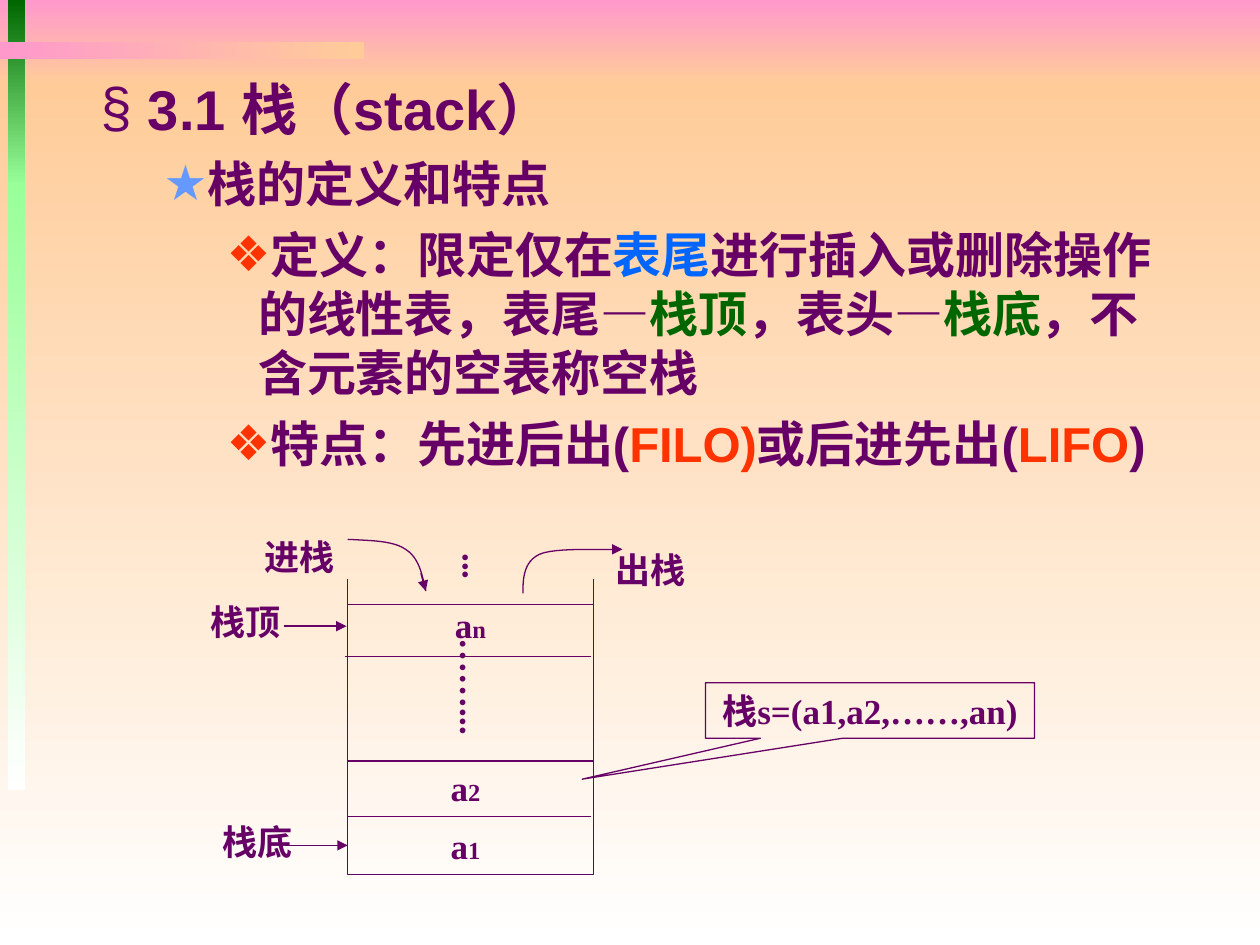
from lxml.etree import SubElement
from pptx import Presentation
from pptx.dml.color import RGBColor
from pptx.enum.shapes import MSO_CONNECTOR, MSO_SHAPE
from pptx.enum.text import MSO_ANCHOR, PP_ALIGN
from pptx.oxml.ns import qn
from pptx.util import Pt

PLUM, PINK, PEACH, WHITE = "660066", "FF99CC", "FFCC99", "FFFFFF"
DARK_GREEN, LIGHT_GREEN = "006600", "99FF99"
RED, BLUE, STAR_BLUE = "FF3300", "0066FF", "6699FF"
LINE_WIDTH = 0.75


def color(hex_code):
    return RGBColor.from_string(hex_code)


def style_span(span, size, font_name, hex_code=PLUM):
    span.font.size = Pt(size)
    span.font.name = font_name
    span.font.bold = True
    span.font.color.rgb = color(hex_code)


def add_gradient(page, left, top, width, height, start, end, angle=270):
    bar = page.shapes.add_shape(MSO_SHAPE.RECTANGLE, Pt(left), Pt(top), Pt(width), Pt(height))
    bar.shadow.inherit = False
    bar.line.fill.background()
    bar.fill.gradient()
    bar.fill.gradient_angle = angle
    for stop, hex_code in zip(bar.fill.gradient_stops, (start, end)):
        stop.color.rgb = color(hex_code)


def outline(shape):
    shape.shadow.inherit = False
    shape.fill.background()
    shape.line.color.rgb = color(PLUM)
    shape.line.width = Pt(LINE_WIDTH)


def add_line(page, x1, y1, x2, y2, arrow=False):
    line = page.shapes.add_connector(MSO_CONNECTOR.STRAIGHT, Pt(x1), Pt(y1), Pt(x2), Pt(y2))
    line.line.color.rgb = color(PLUM)
    line.line.width = Pt(LINE_WIDTH)
    if arrow:
        SubElement(line.line._get_or_add_ln(), qn("a:tailEnd"), type="triangle")
    SubElement(line._element.spPr, qn("a:effectLst"))


def bezier(start, control1, control2, end, steps=12):
    """Points along a cubic curve, without its start."""
    for step in range(1, steps + 1):
        t = step / steps
        weights = ((1 - t) ** 3, 3 * t * (1 - t) ** 2, 3 * t * t * (1 - t), t ** 3)
        yield tuple(sum(weight * point[axis] for weight, point
                        in zip(weights, (start, control1, control2, end)))
                    for axis in (0, 1))


def add_curve(page, left, top, knots):
    """Draw joined cubic curves; knots are a start, then two controls and an end each."""
    knots = [(left + x, top + y) for x, y in knots]
    points = [point for first in range(0, len(knots) - 1, 3)
              for point in bezier(*knots[first:first + 4])]
    builder = page.shapes.build_freeform(Pt(knots[0][0]), Pt(knots[0][1]))
    builder.add_line_segments([(Pt(x), Pt(y)) for x, y in points], close=False)
    outline(builder.convert_to_shape())


def write_label(shape, parts):
    """Fill a shape with one centred line of (text, size) parts."""
    frame = shape.text_frame
    frame.word_wrap = False
    frame.vertical_anchor = MSO_ANCHOR.MIDDLE
    para = frame.paragraphs[0]
    para.alignment = PP_ALIGN.CENTER
    for text, size in parts:
        span = para.add_run()
        span.text = text
        style_span(span, size, "Times New Roman")


def add_label(page, left, top, width, height, *parts, vertical=False):
    box = page.shapes.add_textbox(Pt(left), Pt(top), Pt(width), Pt(height))
    write_label(box, parts)
    frame = box.text_frame
    frame.margin_left = frame.margin_right = 0
    frame.margin_top = frame.margin_bottom = 0
    if vertical:
        frame._txBody.bodyPr.set("vert", "eaVert")


def add_backdrop(page, width, height):
    band = 48
    add_gradient(page, 0, 0, width, band, PINK, PEACH)
    add_gradient(page, 0, band, width, height - band, PEACH, WHITE)
    add_gradient(page, 4.3, 0, 10, 106, DARK_GREEN, LIGHT_GREEN)
    add_gradient(page, 4.3, 105, 10, 346.5, LIGHT_GREEN, WHITE)
    add_gradient(page, 0, 24, 208, 10, PEACH, PINK, angle=180)


def set_bullet(para, char, hex_code, margin, hanging):
    properties = para._p.get_or_add_pPr()
    properties.set("marL", str(Pt(margin)))
    properties.set("indent", str(-Pt(hanging)))
    bullet_color = SubElement(properties, qn("a:buClr"))
    SubElement(bullet_color, qn("a:srgbClr"), val=hex_code)
    SubElement(properties, qn("a:buFont"), typeface="Arial")
    SubElement(properties, qn("a:buChar"), char=char)


def add_outline_text(page, left, top, width, height):
    levels = [("§", PLUM, 27, 27, 32), ("★", STAR_BLUE, 58.5, 22.5, 28),
              ("❖", RED, 90, 18, 28)]
    items = [
        (0, [("3.1 栈（stack）", PLUM)]),
        (1, [("栈的定义和特点", PLUM)]),
        (2, [("定义：限定仅在", PLUM), ("表尾", BLUE),
             ("进行插入或删除操作的线性表，表尾—", PLUM), ("栈顶", DARK_GREEN),
             ("，表头—", PLUM), ("栈底", DARK_GREEN), ("，不含元素的空表称空栈", PLUM)]),
        (2, [("特点：先进后出(", PLUM), ("FILO)", RED), ("或后进先出(", PLUM),
             ("LIFO", RED), (")", PLUM)]),
    ]
    box = page.shapes.add_textbox(Pt(left), Pt(top), Pt(width), Pt(height))
    frame = box.text_frame
    frame.word_wrap = True
    for index, (level, parts) in enumerate(items):
        para = frame.add_paragraph() if index else frame.paragraphs[0]
        char, bullet_color, margin, hanging, size = levels[level]
        para.level = level
        set_bullet(para, char, bullet_color, margin, hanging)
        if index:
            para.space_before = Pt(7)
        for text, hex_code in parts:
            span = para.add_run()
            span.text = text
            style_span(span, size, "Arial", hex_code)


def add_stack(page, left, top, width, height):
    frame = page.shapes.add_shape(MSO_SHAPE.RECTANGLE, Pt(left), Pt(top), Pt(width), Pt(height))
    outline(frame)
    for x1, x2, y in ((-1.4, width - 1.4, 29.5), (0, width, 89.3), (0, width - 1.4, 121)):
        add_line(page, left + x1, top + y, left + x2, top + y)
    for x in (0, width):
        add_line(page, left + x, top - 15, left + x, top)

    for x, y, index in ((54.7, -4.3, "n"), (51.8, 88.6, "2"), (51.8, 121.7, "1")):
        add_label(page, left + x, top + y, 31, 31.7, ("a", 20), (index, 14))
    for x, y, length, dots in ((53.3, 19.5, 62.6, "……..."), (54.7, -29.4, 22.3, "...")):
        add_label(page, left + x, top + y, 38.2, length, (dots, 20), vertical=True)

    for x, y, name in ((-78.5, 119.5, "栈底"), (-85.5, -6.5, "栈顶"),
                       (146.2, -36, "出栈"), (-54.7, -43.2, "进栈")):
        add_label(page, left + x, top + y, 54, 31.7, (name, 20))
    for x1, y1, x2, y2 in ((-36, 137.5, 0, 137.5), (-36.7, 12.2, -0.7, 12.2),
                           (41.8, -18, 44.6, -7.9), (141.8, -31.7, 157, -31.7)):
        add_line(page, left + x1, top + y1, left + x2, top + y2, arrow=True)
    push = [(0, -37.4), (13, -36.7), (25.9, -36.7), (33.1, -31.7),
            (41, -26.6), (42.5, -17.3), (44.6, -7.9)]
    pop = [(100.1, -6.5), (100.1, -15.8), (100.8, -24.5), (109.4, -28.8),
           (118.8, -33.1), (147.6, -31), (154.1, -31.7)]
    for knots in (push, pop):
        add_curve(page, left, top, knots)


def add_callout(page, left, top, width, height):
    callout = page.shapes.add_shape(MSO_SHAPE.RECTANGULAR_CALLOUT,
                                    Pt(left), Pt(top), Pt(width), Pt(height))
    callout.adjustments[0] = -0.875
    callout.adjustments[1] = 1.238
    outline(callout)
    write_label(callout, [("栈s=(a1,a2,……,an)", 20)])


def main():
    deck = Presentation()
    deck.slide_width, deck.slide_height = Pt(720), Pt(540)
    page = deck.slides.add_slide(deck.slide_layouts[6])
    add_backdrop(page, 720, 540)
    add_outline_text(page, 50.4, 39, 633, 247)
    add_stack(page, 198.7, 345.6, 140.4, 154)
    add_callout(page, 403.2, 390.2, 188, 31.7)
    deck.save("out.pptx")


if __name__ == "__main__":
    main()
